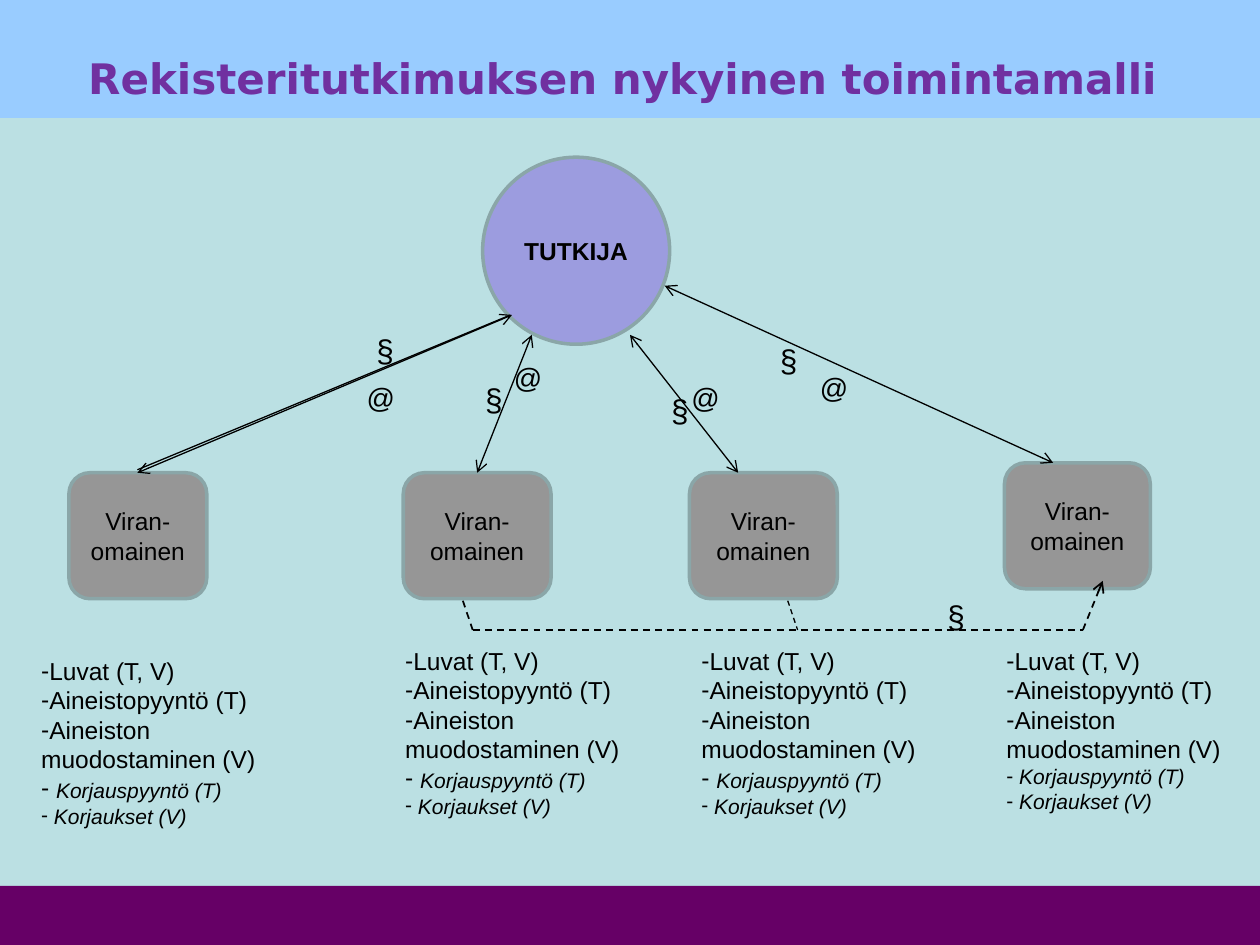
import pptx
import pptx.util
import pptx.dml.color
import pptx.enum.dml
import pptx.enum.shapes
import pptx.enum.text
import pptx.oxml.ns
import lxml.etree

Cm = pptx.util.Cm
Pt = pptx.util.Pt
RGBColor = pptx.dml.color.RGBColor
SHAPE = pptx.enum.shapes.MSO_SHAPE
ALIGN = pptx.enum.text.PP_ALIGN
ANCHOR = pptx.enum.text.MSO_ANCHOR
qn = pptx.oxml.ns.qn

SKY = RGBColor(0x99, 0xCC, 0xFF)
PLUM = RGBColor(0x66, 0x00, 0x66)
VIOLET = RGBColor(0x70, 0x30, 0xA0)
AQUA = RGBColor(0xBB, 0xE0, 0xE3)
GREY = RGBColor(0x96, 0x96, 0x96)
LAVENDER = RGBColor(0x9C, 0x9C, 0xDF)
EDGE = RGBColor(0x8A, 0xA6, 0xA8)
BLACK = RGBColor(0x00, 0x00, 0x00)


def add_run(p, text, size, bold=False, italic=False, color=BLACK, font="Arial"):
    r = p.add_run()
    r.text = text
    r.font.size = Pt(size)
    r.font.bold = bold
    r.font.italic = italic
    r.font.color.rgb = color
    r.font.name = font


def add_box(kind, x, y, w, h, fill, edge=None):
    s = sp.add_shape(kind, Cm(x), Cm(y), Cm(w), Cm(h))
    s.shadow.inherit = False
    s.fill.solid()
    s.fill.fore_color.rgb = fill
    if edge is None:
        s.line.fill.background()
    else:
        s.line.color.rgb = edge
        s.line.width = Pt(2)
    s.text_frame.word_wrap = True
    s.text_frame.vertical_anchor = ANCHOR.MIDDLE
    p = s.text_frame.paragraphs[0]
    p.alignment = ALIGN.CENTER
    return p


prs = pptx.Presentation()
prs.slide_width = Cm(25.4)
prs.slide_height = Cm(19.05)
sp = prs.slides.add_slide(prs.slide_layouts[6]).shapes

p = add_box(SHAPE.RECTANGLE, 0, 0, 25.4, 3.12, SKY)
add_run(p, "Rekisteritutkimuksen nykyinen toimintamalli ", 24, bold=True,
        color=VIOLET, font="DejaVu Sans")
add_box(SHAPE.RECTANGLE, 7.9, 17.53, 17.5, 1.52, PLUM)
add_box(SHAPE.RECTANGLE, 0, 17.53, 9.1, 1.52, PLUM)
add_box(SHAPE.RECTANGLE, 0, 17.32, 25.4, 0.21, PLUM)
add_box(SHAPE.RECTANGLE, 0, 2.38, 25.4, 15.48, AQUA)
add_box(SHAPE.RECTANGLE, 0, 17.86, 25.4, 1.19, PLUM)

for x, y, w in [(1.39, 9.53, 2.78), (8.13, 9.53, 2.98), (13.9, 9.53, 2.98), (20.25, 9.33, 2.94)]:
    p = add_box(SHAPE.ROUNDED_RECTANGLE, x, y, w, 2.54, GREY, EDGE)
    add_run(p, "Viran-omainen", 14)

p = add_box(SHAPE.OVAL, 9.73, 3.17, 3.77, 3.77, LAVENDER, EDGE)
add_run(p, "TUTKIJA", 14, bold=True)

BOTH = ["headEnd", "tailEnd"]
lines = [
    (10.29, 6.35, 2.77, 9.47, 0.75, False, []),
    (10.72, 6.75, 9.62, 9.53, 0.75, False, BOTH),
    (10.32, 6.35, 2.77, 9.53, 0.75, False, BOTH),
    (12.7, 6.75, 14.88, 9.53, 0.75, False, BOTH),
    (13.4, 5.76, 21.23, 9.33, 0.75, False, BOTH),
    (9.33, 12.11, 9.53, 12.7, 1, True, []),
    (9.53, 12.7, 21.83, 12.7, 1, True, []),
    (21.83, 12.7, 22.23, 11.71, 1, True, ["tailEnd"]),
    (15.88, 12.11, 16.08, 12.7, 0.75, True, []),
]
for x1, y1, x2, y2, width, dashed, ends in lines:
    s = sp.add_connector(pptx.enum.shapes.MSO_CONNECTOR.STRAIGHT, Cm(x1), Cm(y1), Cm(x2), Cm(y2))
    s.line.color.rgb = BLACK
    s.line.width = Pt(width)
    if dashed:
        s.line.dash_style = pptx.enum.dml.MSO_LINE.DASH
    for end in ends:
        lxml.etree.SubElement(s.line._get_or_add_ln(), qn("a:" + end), type="arrow")
    lxml.etree.SubElement(s._element.spPr, qn("a:effectLst"))

marks = [
    ("§", 18, [(7.34, 6.55), (9.53, 7.54), (15.47, 6.75), (13.28, 7.75), (18.85, 11.91)]),
    ("@", 16, [(7.14, 7.54), (10.11, 7.14), (13.69, 7.54), (16.28, 7.34)]),
]
for text, size, places in marks:
    for x, y in places:
        s = sp.add_textbox(Cm(x), Cm(y), Cm(1.08), Cm(1))
        s.text_frame.word_wrap = True
        add_run(s.text_frame.paragraphs[0], text, size)

tasks = ["Luvat (T, V)", "Aineistopyyntö (T)", "Aineiston muodostaminen (V)"]
lists = [(0.58, 13.1, 4.95, 14), (7.92, 12.9, 5.36, 14), (13.89, 12.9, 5.56, 14), (20.04, 12.9, 5.36, 12)]
for x, y, w, gap_size in lists:
    s = sp.add_textbox(Cm(x), Cm(y), Cm(w), Cm(3.83))
    tf = s.text_frame
    tf.word_wrap = True
    rows = [[(task, 14, False)] for task in tasks]
    rows.append([(" ", gap_size, True), ("Korjauspyyntö (T)", 12, True)])
    rows.append([(" Korjaukset (V)", 12, True)])
    for i, row in enumerate(rows):
        p = tf.add_paragraph() if i else tf.paragraphs[0]
        pPr = p._p.get_or_add_pPr()
        pPr.set("marL", "0")
        pPr.set("indent", "0")
        lxml.etree.SubElement(pPr, qn("a:buFont"), typeface="Arial")
        lxml.etree.SubElement(pPr, qn("a:buChar"), char="-")
        for text, size, italic in row:
            add_run(p, text, size, italic=italic)

prs.save("out.pptx")
